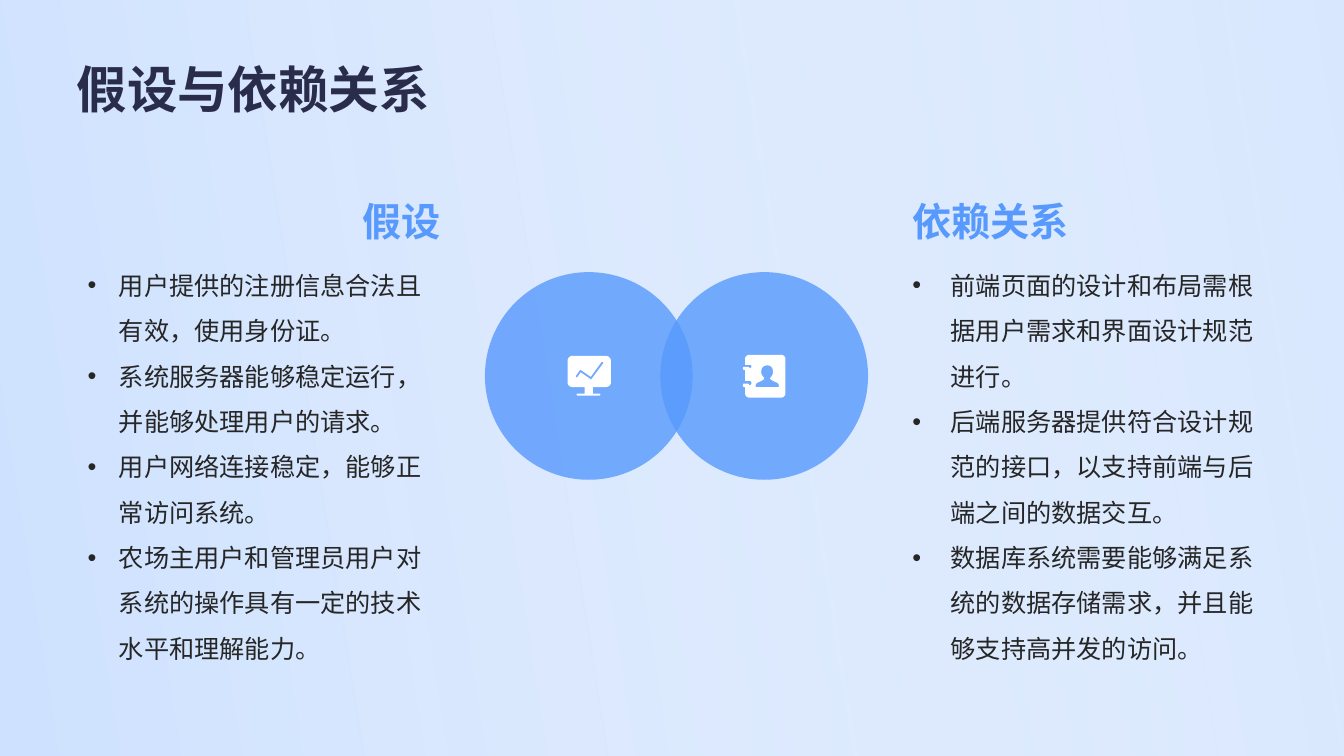
import pptx
import pptx.util
import pptx.dml.color
import pptx.enum.shapes
import pptx.enum.text
import pptx.oxml.ns
from lxml import etree

Inches = pptx.util.Inches
KIND = pptx.enum.shapes.MSO_SHAPE
ALIGN = pptx.enum.text.PP_ALIGN
ANCHOR = pptx.enum.text.MSO_ANCHOR

SANS = "Noto Sans CJK SC"
SKY, BLUE, NAVY, INK, WHITE = "CFE2FF", "5799FD", "292D4B", "262626", "FFFFFF"

TITLE = "假设与依赖关系"
# heading, left, bullet indent, alignment of heading, items
COLUMNS = [
    ("依赖关系", 9.05, 0.38, ALIGN.LEFT, [
        "前端页面的设计和布局需根据用户需求和界面设计规范进行。",
        "后端服务器提供符合设计规范的接口，以支持前端与后端之间的数据交互。",
        "数据库系统需要能够满足系统的数据存储需求，并且能够支持高并发的访问。",
    ]),
    ("假设", 0.87, 0.31, ALIGN.RIGHT, [
        "用户提供的注册信息合法且有效，使用身份证。",
        "系统服务器能够稳定运行，并能够处理用户的请求。",
        "用户网络连接稳定，能够正常访问系统。",
        "农场主用户和管理员用户对系统的操作具有一定的技术水平和理解能力。",
    ]),
]
CIRCLES = [6.55, 4.81]

# Icon outlines in hundredths of an inch: two numbers are a corner, six a curve.
SCREEN = [
    [(38, 0), (5, 0), (2, 0, 0, 2.5, 0, 5), (0, 26.5), (0, 29, 2, 31, 5, 31),
     (17, 31), (17, 37.5), (10, 37.5), (8.6, 37.5, 8.6, 39.5, 10, 39.5),
     (31.5, 39.5), (33, 39.5, 33, 37.5, 31.5, 37.5), (25, 37.5), (25, 31),
     (38, 31), (40.5, 31, 43, 29, 43, 26.5), (43, 5), (43, 2.5, 40.5, 0, 38, 0)],
    [(35.3, 7.5), (23.4, 23.6), (13, 16.5), (10, 20.8),
     (9, 22, 7.5, 21.3, 8.2, 20), (12.5, 13.6), (23, 20.8), (33.5, 6.3),
     (34.5, 5.3, 36, 6.2, 35.3, 7.5)],
]
BOOK = [
    [(39, 0), (7, 0), (5, 0, 3, 2, 3, 4), (3, 10), (8, 10),
     (9, 10, 9.4, 10.5, 9.4, 11.2), (9.4, 12.5, 9, 13, 8, 13), (7, 13),
     (7, 12, 6, 12, 5.5, 12), (2, 12), (0.3, 12, 0.3, 15, 2, 15), (3, 15),
     (3, 26), (8, 26), (9, 26, 9.4, 27, 9.4, 28), (9.4, 29, 9, 30, 8, 30),
     (7, 30), (7, 29, 6, 28.5, 5.5, 28.5), (2, 28.5), (0.3, 28.5, 0.3, 32, 2, 32),
     (3, 32), (3, 38.5), (3, 40.5, 5, 42.5, 7, 42.5), (39, 42.5),
     (41, 42.5, 43, 40.5, 43, 38.5), (43, 4), (43, 2, 41, 0, 39, 0)],
    [(36, 32), (14, 32), (13.3, 32, 13.3, 30.5, 13.7, 29.3),
     (14, 28, 16, 27.5, 18, 26.5), (19.5, 25.8, 22, 24.3, 22, 24), (22, 23),
     (20, 21, 19, 19, 19, 17), (19, 13.5, 20.5, 10.5, 25, 10.5),
     (29.5, 10.5, 30.7, 13.5, 30.7, 17), (30.7, 19, 30, 21, 28, 23), (28, 24),
     (28, 24.3, 30.5, 25.8, 32, 26.5), (34, 27.5, 36, 28, 36.3, 29.3),
     (36.7, 30.5, 36.6, 32, 36, 32)],
]
ICONS = [(5.63, 3.53, SCREEN), (7.36, 3.52, BOOK)]


def tint(code):
    return pptx.dml.color.RGBColor.from_string(code)


def plain(shape, code):
    shape.shadow.inherit = False
    shape.line.fill.background()
    shape.fill.solid()
    shape.fill.fore_color.rgb = tint(code)


def fade(shape, share):
    """Give the last fill colour of the shape this opacity in percent."""
    qn = pptx.oxml.ns.qn
    last = shape._element.spPr.findall(".//" + qn("a:srgbClr"))[-1]
    etree.SubElement(last, qn("a:alpha")).set("val", str(share * 1000))


def bullet(para, indent):
    qn = pptx.oxml.ns.qn
    props = para._p.get_or_add_pPr()
    props.set("marL", str(Inches(indent)))
    props.set("indent", str(-Inches(indent)))
    etree.SubElement(props, qn("a:buFont")).set("typeface", "Arial")
    etree.SubElement(props, qn("a:buChar")).set("char", "•")


def write(slide, box, lines, size, code, bold=False, face=SANS,
          align=ALIGN.LEFT, anchor=ANCHOR.BOTTOM, indent=0):
    frame = slide.shapes.add_textbox(*map(Inches, box)).text_frame
    frame.word_wrap = True
    frame.vertical_anchor = anchor
    frame.margin_left = frame.margin_right = 0
    frame.margin_top = frame.margin_bottom = 0
    frame.text = "\n".join(lines)
    for para in frame.paragraphs:
        para.alignment = align
        if indent:
            bullet(para, indent)
            para.line_spacing = 1.5
        for run in para.runs:
            font = run.font
            font.size, font.bold, font.name = pptx.util.Pt(size), bold, face
            font.color.rgb = tint(code)
            east = etree.SubElement(font._element, pptx.oxml.ns.qn("a:ea"))
            east.set("typeface", SANS)


def trace(steps):
    """Turn corners and curves into a list of points."""
    points = []
    for step in steps:
        if len(step) == 2:
            points.append(step)
            continue
        ends = [points[-1], step[:2], step[2:4], step[4:]]
        for i in range(1, 7):
            t = i / 6
            parts = ((1 - t) ** 3, 3 * t * (1 - t) ** 2, 3 * t * t * (1 - t), t ** 3)
            points.append(tuple(sum(w * p[k] for w, p in zip(parts, ends))
                                for k in (0, 1)))
    return points


def icon(slide, left, top, outlines):
    pen = None
    for steps in outlines:
        first, *rest = [(Inches(left + x / 100), Inches(top + y / 100))
                        for x, y in trace(steps)]
        if pen is None:
            pen = slide.shapes.build_freeform(*first)
        else:
            pen.move_to(*first)
        pen.add_line_segments(rest, close=True)
    plain(pen.convert_to_shape(), WHITE)


def main():
    deck = pptx.Presentation()
    deck.slide_width, deck.slide_height = Inches(13.33), Inches(7.5)
    slide = deck.slides.add_slide(deck.slide_layouts[6])
    slide.background.fill.solid()
    slide.background.fill.fore_color.rgb = tint(SKY)

    veil = slide.shapes.add_shape(KIND.RECTANGLE, 0, 0,
                                  deck.slide_width, deck.slide_height)
    plain(veil, SKY)
    veil.fill.gradient()
    veil.fill.gradient_angle = 9
    for stop, code in zip(veil.fill.gradient_stops, (SKY, WHITE)):
        stop.color.rgb = tint(code)
    fade(veil, 20)

    for left in CIRCLES:
        disc = slide.shapes.add_shape(
            KIND.OVAL, *map(Inches, (left, 2.7, 2.06, 2.06)))
        plain(disc, BLUE)
        fade(disc, 80)

    for head, left, indent, align, items in COLUMNS:
        write(slide, (left, 2.53, 3.5, 3.58), items, 18, INK,
              anchor=ANCHOR.TOP, indent=indent)
        write(slide, (left, 2.02, 3.5, 0.4), [head], 28, BLUE, True, align=align)

    for left, top, outlines in ICONS:
        icon(slide, left, top, outlines)
    write(slide, (0.76, 0.39, 11.81, 0.79), [TITLE], 36, NAVY, True, "Lato")
    deck.save("out.pptx")


if __name__ == "__main__":
    main()
